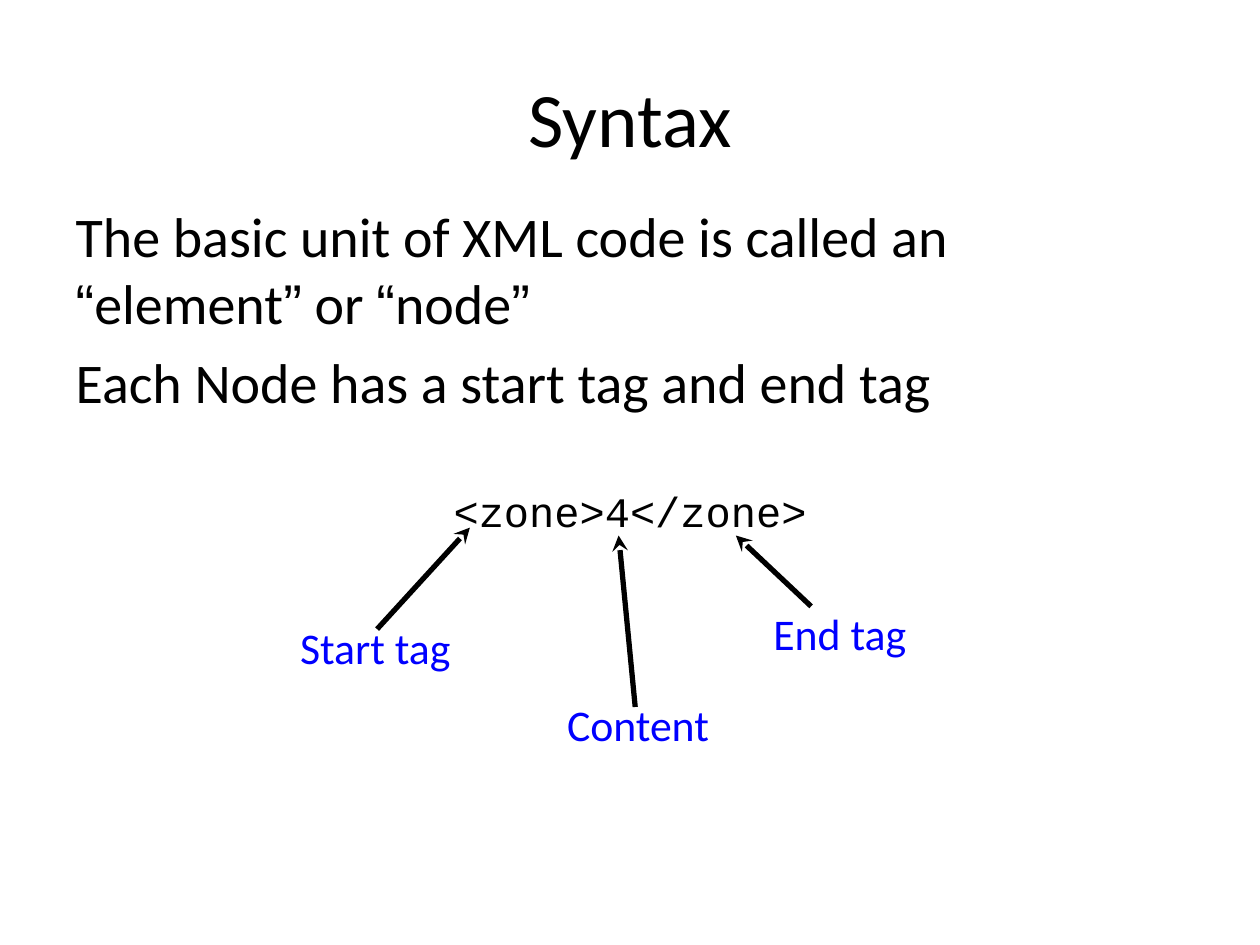
from dataclasses import dataclass
from itertools import groupby

from pptx import Presentation
from pptx.dml.color import RGBColor
from pptx.enum.shapes import MSO_CONNECTOR as Connector
from pptx.enum.text import MSO_ANCHOR as Anchor, MSO_AUTO_SIZE as AutoSize, PP_ALIGN as Align
from pptx.oxml.ns import qn
from pptx.util import Pt
from lxml.etree import SubElement

BLACK = RGBColor(0x00, 0x00, 0x00)
BLUE = RGBColor(0x00, 0x00, 0xFF)
QUOTES = "“”"


@dataclass(frozen=True)
class Label:
    text: str
    left: float
    top: float
    width: float
    height: float = 30


@dataclass(frozen=True)
class Arrow:
    tip: tuple[float, float]
    tail: tuple[float, float]


LABELS = [
    Label("Start tag", 171.5, 355, 87),
    Label("End tag", 442, 346.5, 77),
    Label("Content", 324, 399, 82),
]
ARROWS = [
    Arrow((268.5, 301.5), (215.5, 359.5)),
    Arrow((420.5, 306), (463.5, 346.5)),
    Arrow((353.5, 306), (363, 404)),
]


def place(shape, left: float, top: float, width: float, height: float) -> None:
    shape.left, shape.top = Pt(left), Pt(top)
    shape.width, shape.height = Pt(width), Pt(height)


def write(para, text: str, *, size: float, font: str = "Calibri",
          color: RGBColor = BLACK, align: Align = Align.LEFT,
          before: float | None = None) -> None:
    para.alignment = align
    if before is not None:
        para.space_before = Pt(before)
    for quoted, letters in groupby(text, lambda letter: letter in QUOTES):
        span = para.add_run()
        span.text = "".join(letters)
        span.font.name = "Arial" if quoted else font
        span.font.size = Pt(size)
        span.font.color.rgb = color


def remove_bullet(para) -> None:
    properties = para._p.get_or_add_pPr()
    properties.set("marL", "0")
    properties.set("indent", "0")
    SubElement(properties, qn("a:buNone"))


def draw_label(page, label: Label) -> None:
    box = page.shapes.add_textbox(Pt(label.left), Pt(label.top), Pt(label.width), Pt(label.height))
    frame = box.text_frame
    frame.margin_left = frame.margin_right = frame.margin_top = frame.margin_bottom = 0
    frame.vertical_anchor = Anchor.MIDDLE
    frame.word_wrap = False
    frame.auto_size = AutoSize.SHAPE_TO_FIT_TEXT
    write(frame.paragraphs[0], label.text, size=25, color=BLUE)


def draw_arrow(page, arrow: Arrow) -> None:
    ends = [Pt(value) for value in (*arrow.tip, *arrow.tail)]
    line = page.shapes.add_connector(Connector.STRAIGHT, *ends)
    line.line.color.rgb = BLACK
    line.line.width = Pt(3)
    SubElement(line.line._get_or_add_ln(), qn("a:headEnd"), type="stealth")
    SubElement(line._element.spPr, qn("a:effectLst"))


def main() -> None:
    deck = Presentation()
    deck.slide_width, deck.slide_height = Pt(720), Pt(540)
    page = deck.slides.add_slide(deck.slide_layouts[1])

    title = page.shapes.title
    place(title, 36, 21.6, 648, 90)
    title.text_frame.vertical_anchor = Anchor.MIDDLE
    write(title.text_frame.paragraphs[0], "Syntax", size=44, align=Align.CENTER)

    body = page.placeholders[1]
    place(body, 36, 111.6, 648, 405.4)
    frame = body.text_frame
    unit, tags, code = frame.paragraphs[0], frame.add_paragraph(), frame.add_paragraph()
    write(unit, "The basic unit of XML code is called an “element” or “node”", size=32)
    write(tags, "Each Node has a start tag and end tag", size=32)
    write(code, "<zone>4</zone>", size=24, font="Courier New", align=Align.CENTER, before=40.5)
    for para in frame.paragraphs:
        remove_bullet(para)

    for label in LABELS:
        draw_label(page, label)
    for arrow in ARROWS:
        draw_arrow(page, arrow)
    deck.save("out.pptx")


if __name__ == "__main__":
    main()
